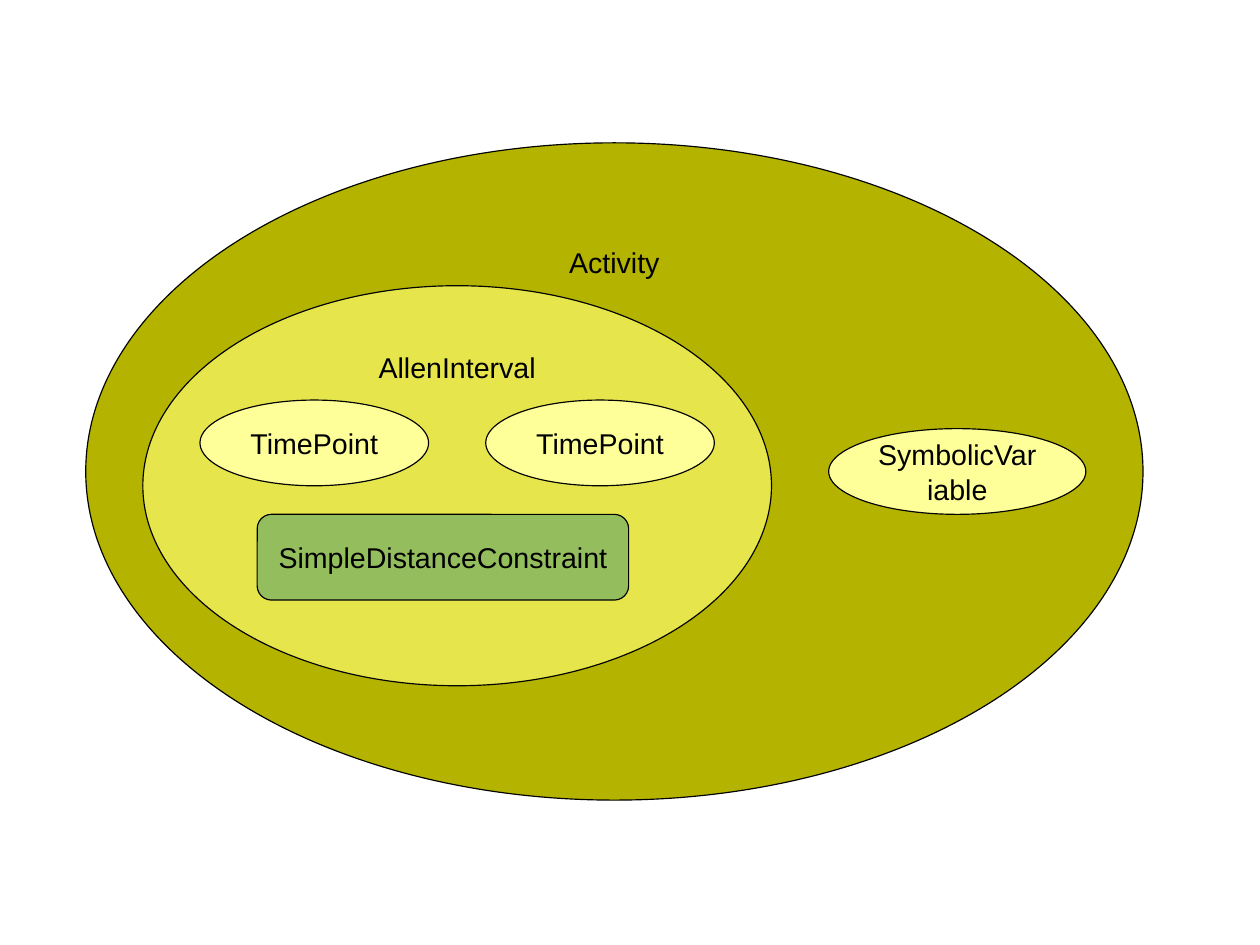
import dataclasses

import pptx
import pptx.dml.color
import pptx.enum.shapes
import pptx.enum.text
import pptx.util

OVAL = pptx.enum.shapes.MSO_SHAPE.OVAL
ROUNDED = pptx.enum.shapes.MSO_SHAPE.ROUNDED_RECTANGLE
TOP = pptx.enum.text.MSO_ANCHOR.TOP
MIDDLE = pptx.enum.text.MSO_ANCHOR.MIDDLE


@dataclasses.dataclass(frozen=True)
class Theme:
    """Colours, type and grid module of the slide."""
    activity: str = "B3B300"
    interval: str = "E6E64C"
    variable: str = "FFFF99"
    constraint: str = "94BD5E"
    ink: str = "000000"
    font: str = "Arial"
    size: int = 18
    module: float = 2.54


THEME = Theme()


@dataclasses.dataclass(frozen=True)
class Box:
    """A rectangle measured in grid modules."""
    left: float
    top: float
    width: float
    height: float

    def inner(self, left, top, width, height):
        """Return a box offset from this box's top left corner."""
        return Box(self.left + left, self.top + top, width, height)


def add_node(slide, box, label, colour, kind=OVAL, anchor=MIDDLE):
    """Draw one filled, outlined shape with a centred label."""
    place = [pptx.util.Cm(length * THEME.module) for length in dataclasses.astuple(box)]
    shape = slide.shapes.add_shape(kind, *place)
    shape.shadow.inherit = False
    ink = pptx.dml.color.RGBColor.from_string(THEME.ink)
    shape.fill.solid()
    shape.fill.fore_color.rgb = pptx.dml.color.RGBColor.from_string(colour)
    shape.line.color.rgb = ink
    shape.line.width = pptx.util.Pt(0)
    frame = shape.text_frame
    frame.word_wrap = True
    frame.vertical_anchor = anchor
    paragraph = frame.paragraphs[0]
    paragraph.alignment = pptx.enum.text.PP_ALIGN.CENTER
    run = paragraph.add_run()
    run.text = label
    formats = {"name": THEME.font, "size": pptx.util.Pt(THEME.size)}
    for name, value in formats.items():
        setattr(run.font, name, value)
    run.font.color.rgb = ink


def add_interval(slide, box):
    """Draw the interval with its two time points and their constraint."""
    add_node(slide, box, "AllenInterval", THEME.interval, anchor=TOP)
    for column in range(2):
        point = box.inner(0.5 + 2.5 * column, 1, 2, 0.75)
        add_node(slide, point, "TimePoint", THEME.variable)
    add_node(slide, box.inner(1, 2, 3.25, 0.75), "SimpleDistanceConstraint",
             THEME.constraint, ROUNDED)


def add_activity(slide, box):
    """Draw the activity holding an interval and a symbolic variable."""
    add_node(slide, box, "Activity", THEME.activity, anchor=TOP)
    add_interval(slide, box.inner(0.5, 1.25, 5.5, 3.5))
    add_node(slide, box.inner(6.5, 2.5, 2.25, 0.75), "SymbolicVariable", THEME.variable)


def main():
    """Build and save the presentation."""
    presentation = pptx.Presentation()
    presentation.slide_width = pptx.util.Cm(28)
    presentation.slide_height = pptx.util.Cm(21)
    slide = presentation.slides.add_slide(presentation.slide_layouts[6])
    add_activity(slide, Box(0.75, 1.25, 9.25, 5.75))
    presentation.save("out.pptx")


if __name__ == "__main__":
    main()
